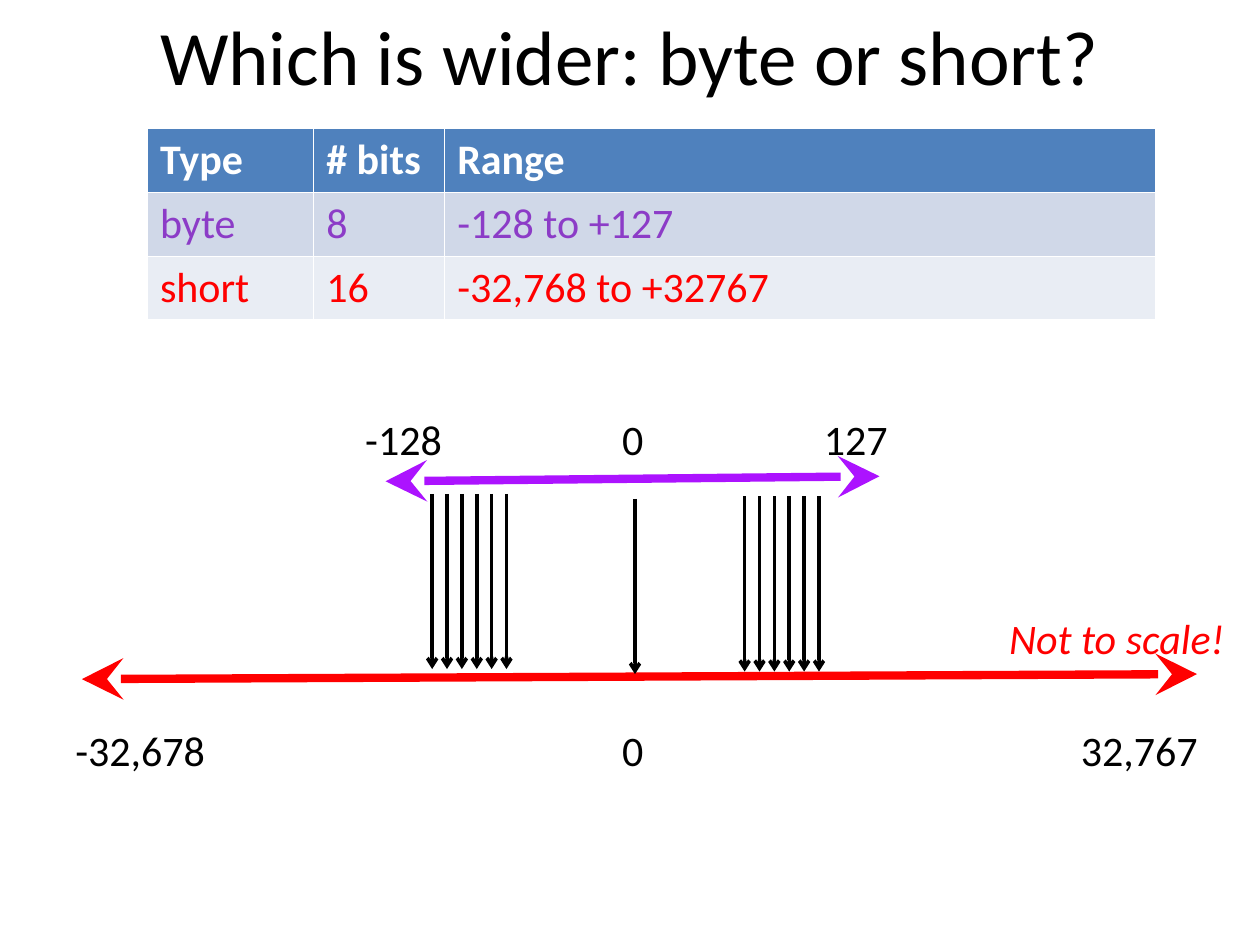
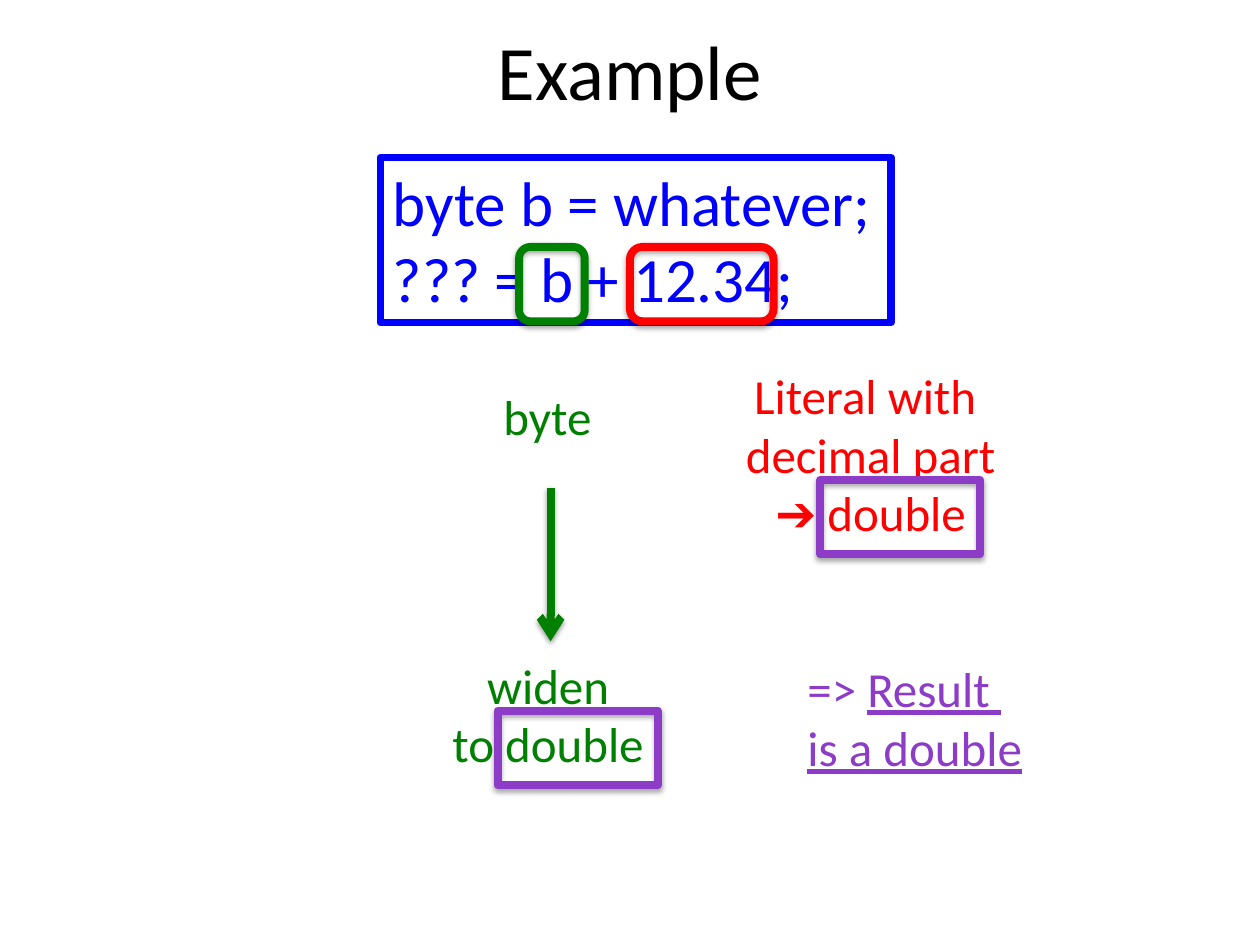
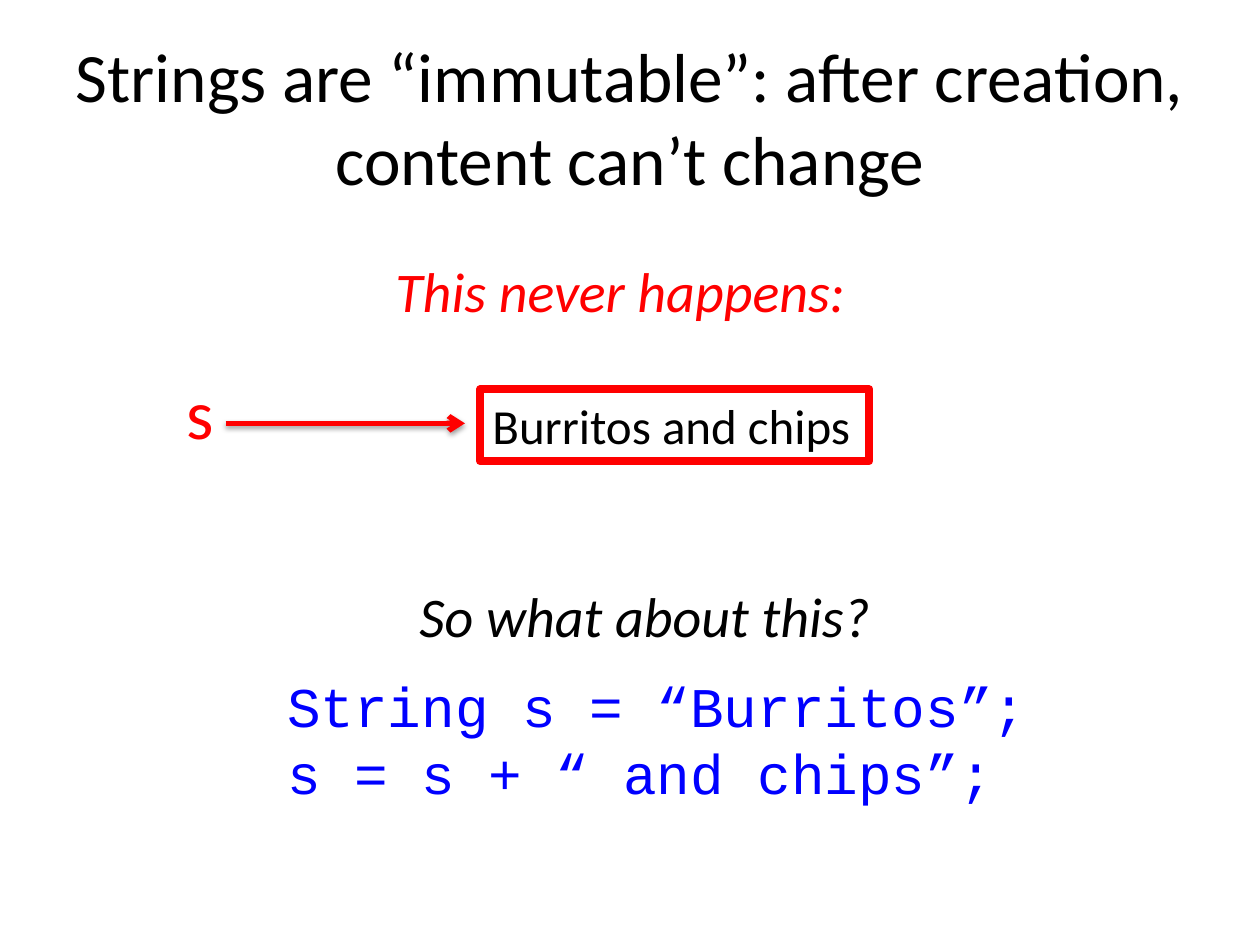
from lxml.etree import SubElement
from pptx import Presentation
from pptx.dml.color import RGBColor
from pptx.enum.shapes import MSO_CONNECTOR, MSO_SHAPE
from pptx.enum.text import MSO_ANCHOR, MSO_AUTO_SIZE, PP_ALIGN
from pptx.oxml.ns import qn
from pptx.util import Inches, Pt

COLORS = {
    "black": "000000", "white": "FFFFFF", "red": "FF0000", "blue": "0000FF",
    "green": "008000", "purple": "8C3CC7", "violet": "AC13FF",
    "header": "4F81BD", "band": "D0D8E8", "pale": "E9EDF4",
}
RGB = {name: RGBColor.from_string(value) for name, value in COLORS.items()}
BODY_FONT = "Calibri"
CODE_FONT = "Courier New"
TITLE_SIZE = 44


def add_text(page, at, lines, size, color="black", align=PP_ALIGN.LEFT, wrap=False, tabs=(), **formats):
    """Add a text box; a line is a string or a tuple of spans."""
    box = page.shapes.add_textbox(*map(Inches, at))
    frame = box.text_frame
    frame.word_wrap = wrap
    frame.auto_size = MSO_AUTO_SIZE.NONE if wrap else MSO_AUTO_SIZE.SHAPE_TO_FIT_TEXT
    formats = {"name": BODY_FONT, "size": Pt(size), **formats}
    for number, line in enumerate(lines):
        para = frame.paragraphs[0] if number == 0 else frame.add_paragraph()
        para.alignment = align
        if tabs:
            stops = SubElement(para._p.get_or_add_pPr(), qn("a:tabLst"))
            for stop in tabs:
                SubElement(stops, qn("a:tab"), pos=str(Inches(stop)), algn="l")
        for words in (line,) if isinstance(line, str) else line:
            span = para.add_run()
            span.text = words
            for key, value in formats.items():
                setattr(span.font, key, value)
            span.font.color.rgb = RGB[color]
    return box


def style_line(item, color, width, shadow=None, ends=None):
    """Style an outline or connector; shadow is (opacity, distance), ends maps a line end to (kind, size)."""
    item.line.color.rgb = RGB[color]
    item.line.width = Pt(width)
    properties = item._element.spPr
    for end, (kind, size) in (ends or {}).items():
        SubElement(properties.get_or_add_ln(), qn(f"a:{end}"), type=kind, w=size, len=size)
    effects = SubElement(properties, qn("a:effectLst"))
    if shadow:
        opacity, distance = shadow
        cast = SubElement(effects, qn("a:outerShdw"), blurRad=str(Pt(3.1)), dist=str(Pt(distance)),
                          dir="5400000", rotWithShape="0")
        shade = SubElement(cast, qn("a:srgbClr"), val=COLORS["black"])
        SubElement(shade, qn("a:alpha"), val=str(opacity * 1000))


ARROW = {"tailEnd": ("arrow", "med")}
DOUBLE_ARROW = {"headEnd": ("stealth", "lg"), "tailEnd": ("stealth", "lg")}
RING_SHADOW = (35, 1.8)
ARROW_SHADOW = (38, 1.6)

deck = Presentation()
deck.slide_width, deck.slide_height = Inches(10), Inches(7.5)

# Pages and their titles
pages = []
for title, top, size in [
    ("Which is wider: byte or short?", -0.19, TITLE_SIZE),
    ("Example", -0.07, TITLE_SIZE),
    ("Strings are “immutable”: after creation, content can’t change", 0.3, 39.6),
]:
    page = deck.slides.add_slide(deck.slide_layouts[6])
    box = add_text(page, (0.5, top, 9, 1.25), [title], size, align=PP_ALIGN.CENTER, wrap=True)
    box.text_frame.vertical_anchor = MSO_ANCHOR.MIDDLE
    pages.append(page)
range_page, example_page, string_page = pages

# Slide 1: type ranges
type_rows = [
    (("Type", "# bits", "Range"), "white", "header"),
    (("byte", "8", "-128 to +127"), "purple", "band"),
    (("short", "16", "-32,768 to +32767"), "red", "pale"),
]
table = range_page.shapes.add_table(3, 3, Inches(1.17), Inches(1.02), Inches(8), Inches(1.5)).table
for column, width in zip(table.columns, (1.32, 1.04, 5.64)):
    column.width = Inches(width)
for row, (words, color, fill) in enumerate(type_rows):
    for column, word in enumerate(words):
        cell = table.cell(row, column)
        cell.fill.solid()
        cell.fill.fore_color.rgb = RGB[fill]
        span = cell.text_frame.paragraphs[0].add_run()
        span.text = word
        for key, value in {"name": BODY_FONT, "size": Pt(24), "bold": row == 0}.items():
            setattr(span.font, key, value)
        span.font.color.rgb = RGB[color]

range_lines = [
    ((3.06, 3.82, 6.98, 3.78), "violet", 4.75, DOUBLE_ARROW),
    ((0.65, 5.39, 9.5, 5.35), "red", 4.75, DOUBLE_ARROW),
    ((5.04, 3.96, 5.04, 5.35), "black", 2, ARROW),
]
for left, top in [(3.43, 3.92), (5.91, 3.94)]:
    for number in range(6):
        x = left + number * 0.59 / 5
        range_lines.append(((x, top, x, top + 1.39), "black", 2, ARROW))
for points, color, width, ends in range_lines:
    line = range_page.shapes.add_connector(MSO_CONNECTOR.STRAIGHT, *map(Inches, points))
    style_line(line, color, width, ends=ends)

add_text(range_page, (2.8, 3.23, 4.47, 0.5), ["-128\t0\t127"], 24, wrap=True, tabs=(2.04, 3.64))
add_text(range_page, (0.5, 5.7, 9.43, 0.5), ["-32,678\t0\t32,767"], 24, wrap=True, tabs=(4.34, 7.98))
add_text(range_page, (7.91, 4.81, 2.02, 0.5), ["Not to scale!"], 24, "red", italic=True)

# Slide 2: widening example
code = add_text(example_page, (3.02, 1.25, 4.05, 1.31), ["byte b = whatever;", "??? = b + 12.34;"], 36, "blue")
style_line(code, "blue", 4.5)
for at, lines, color in [
    ((5.81, 2.85, 2.2, 1.51), ["Literal with ", "decimal part", "➔ double"], "red"),
    ((3.89, 3.02, 0.91, 0.57), ["byte"], "green"),
    ((3.48, 5.15, 1.74, 1.04), ["widen", "to double"], "green"),
]:
    add_text(example_page, at, lines, 28, color, PP_ALIGN.CENTER)
result = add_text(example_page, (6.31, 5.18, 1.92, 1.04), [("=> ", "Result "), "is a double"], 28, "purple",
                  underline=True)
result.text_frame.paragraphs[0].runs[0].font.underline = False

widening = example_page.shapes.add_connector(
    MSO_CONNECTOR.STRAIGHT, Inches(4.37), Inches(3.87), Inches(4.37), Inches(5.09))
style_line(widening, "green", 4.5, ARROW_SHADOW, ARROW)

for left, top, width, color, rounding in [
    (5, 1.96, 1.14, "red", 0.17),
    (4.12, 1.96, 0.52, "green", 0.17),
    (3.95, 5.64, 1.27, "purple", 0),
    (6.51, 3.81, 1.27, "purple", 0),
]:
    ring = example_page.shapes.add_shape(
        MSO_SHAPE.ROUNDED_RECTANGLE, Inches(left), Inches(top), Inches(width), Inches(0.59))
    ring.adjustments[0] = rounding
    ring.fill.background()
    style_line(ring, color, 4.5, RING_SHADOW)

# Slide 3: immutable strings
add_text(string_page, (3.04, 1.99, 3.92, 0.64), ["This never happens:"], 32, "red", italic=True)
add_text(string_page, (1.38, 2.88, 0.42, 0.77), ["s"], 40, "red")
reference = string_page.shapes.add_connector(
    MSO_CONNECTOR.STRAIGHT, Inches(1.79), Inches(3.36), Inches(3.69), Inches(3.36))
style_line(reference, "red", 3, ARROW_SHADOW, ARROW)
value_box = add_text(string_page, (3.81, 3.09, 3.09, 0.57), ["Burritos and chips"], 28, wrap=True)
style_line(value_box, "red", 4.5)
add_text(string_page, (2.18, 5.28, 6.13, 1.18), ["String s = “Burritos”;", "s = s + “ and chips”;"], 32, "blue",
         name=CODE_FONT)
add_text(string_page, (3.23, 4.57, 3.92, 0.64), ["So what about this?"], 32, italic=True)

deck.save("out.pptx")
